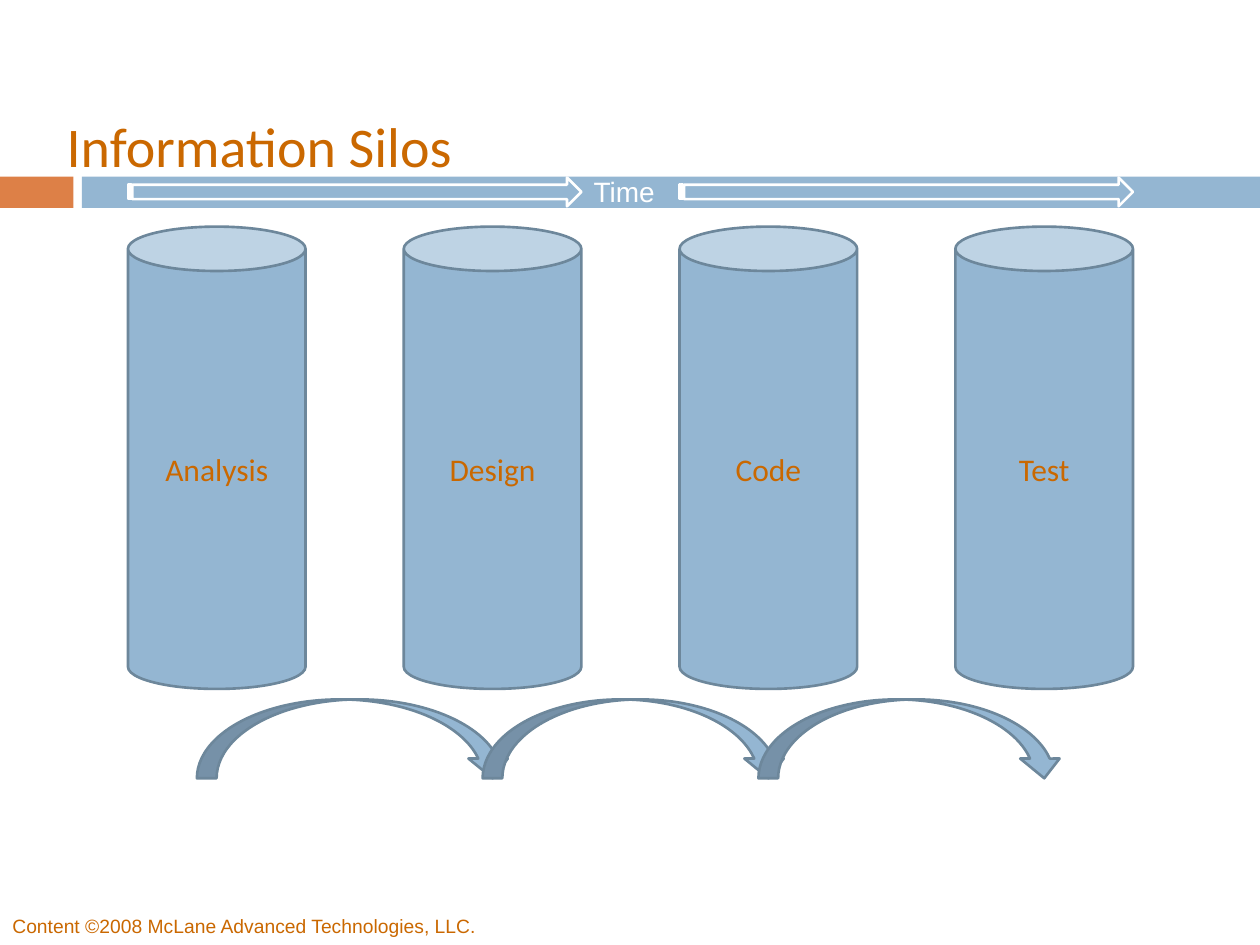
from dataclasses import dataclass

import pptx
import pptx.util
import pptx.dml.color
import pptx.enum.shapes
import pptx.enum.text

Cm = pptx.util.Cm
Pt = pptx.util.Pt
Kind = pptx.enum.shapes.MSO_SHAPE
Align = pptx.enum.text.PP_ALIGN
Anchor = pptx.enum.text.MSO_ANCHOR
Fit = pptx.enum.text.MSO_AUTO_SIZE


@dataclass(frozen=True)
class Theme:
    blue: str = "94B6D2"
    edge: str = "6D879B"
    orange: str = "DD8047"
    ink: str = "CA6800"
    white: str = "FFFFFF"
    head: str = "Calibri"
    body: str = "Arial"
    title: int = 32
    label: int = 18
    time: int = 16
    foot: int = 11
    line: float = 1.5


@dataclass(frozen=True)
class Box:
    x: float
    y: float
    w: float
    h: float

    def cm(self):
        return Cm(self.x), Cm(self.y), Cm(self.w), Cm(self.h)


theme = Theme()
WIDE = 25.4


def color(code):
    return pptx.dml.color.RGBColor.from_string(code)


def add_part(shapes, kind, box, fill=theme.blue, edge=None):
    part = shapes.add_shape(kind, *box.cm())
    part.shadow.inherit = False
    part.fill.solid()
    part.fill.fore_color.rgb = color(fill)
    if edge:
        part.line.color.rgb = color(edge)
        part.line.width = Pt(theme.line)
    else:
        part.line.fill.background()
    return part


def write(frame, text, size, font, ink=theme.ink, align=Align.LEFT):
    para = frame.paragraphs[0]
    para.alignment = align
    run = para.add_run()
    run.text = text
    run.font.size = Pt(size)
    run.font.name = font
    run.font.color.rgb = color(ink)


def add_note(shapes, box, text, size, ink, wrap):
    frame = shapes.add_textbox(*box.cm()).text_frame
    frame.word_wrap = wrap
    frame.auto_size = Fit.SHAPE_TO_FIT_TEXT
    write(frame, text, size, theme.body, ink)


def add_title(slide, box, text):
    title = slide.shapes.title
    title.left, title.top, title.width, title.height = box.cm()
    frame = title.text_frame
    frame.auto_size = Fit.NONE
    frame.vertical_anchor = Anchor.MIDDLE
    write(frame, text, theme.title, theme.head)


def add_band(slide, box):
    # Short orange block, a gap, then the blue bar
    tab, start = 1.48, 1.65
    add_part(slide.shapes, Kind.RECTANGLE, Box(box.x, box.y, tab, box.h), theme.orange)
    add_part(slide.shapes, Kind.RECTANGLE,
             Box(box.x + start, box.y, box.w - start, box.h))


def add_silos(slide, box, names, wide, step):
    for i, name in enumerate(names):
        can = add_part(slide.shapes, Kind.CAN,
                       Box(box.x + i * step, box.y, wide, box.h), edge=theme.edge)
        frame = can.text_frame
        frame.vertical_anchor = Anchor.MIDDLE
        write(frame, name, theme.label, theme.head, align=Align.CENTER)


def add_hops(slide, box, count, wide, step):
    # Each arrow runs from one silo's centre to the next
    for i in range(count):
        mid = box.x + wide / 2 + i * step
        left = mid - (0.2 if i else 0.4)
        right = mid + step + 0.4
        add_part(slide.shapes, Kind.CURVED_DOWN_ARROW,
                 Box(left, box.y, right - left, box.h), edge=theme.edge)


def add_time(slide, box, wide, step):
    # Each arrow spans two silos, with the word between them
    shapes = slide.shapes.add_group_shape().shapes
    span = step + wide
    add_note(shapes, Box(box.x + span, box.y - 0.18, 1.75, 0.94),
             "Time", theme.time, theme.white, False)
    for x in (box.x, box.x + 2 * step):
        add_part(shapes, Kind.STRIPED_RIGHT_ARROW,
                 Box(x, box.y, span, box.h), edge=theme.white)


def main():
    deck = pptx.Presentation()
    deck.slide_width, deck.slide_height = Cm(WIDE), Cm(19.05)
    slide = deck.slides.add_slide(deck.slide_layouts[5])

    names = ["Analysis", "Design", "Code", "Test"]
    wide, step, left = 3.58, 5.56, 2.58
    full = 3 * step + wide

    add_band(slide, Box(0, 3.56, WIDE, 0.63))
    add_title(slide, Box(1.09, 1.73, 21.59, 2.41), "Information Silos")
    add_silos(slide, Box(left, 4.57, full, 9.32), names, wide, step)
    add_hops(slide, Box(left, 14.1, full, 1.59), len(names) - 1, wide, step)
    add_note(slide.shapes, Box(0, 18.31, 10.31, 0.74),
             "Content ©2008 McLane Advanced Technologies, LLC.",
             theme.foot, theme.ink, True)
    add_time(slide, Box(left, 3.58, full, 0.58), wide, step)
    deck.save("out.pptx")


if __name__ == "__main__":
    main()
